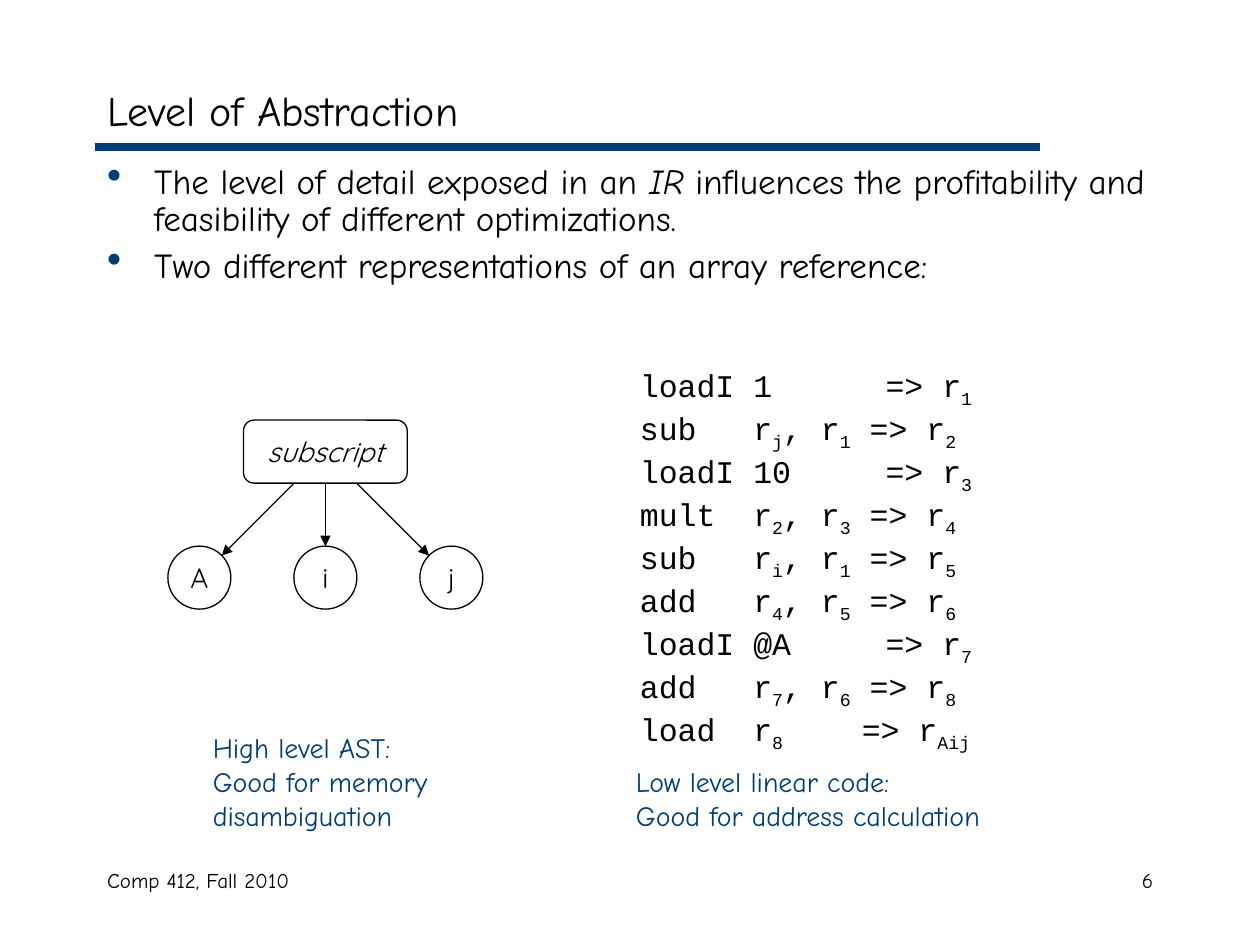
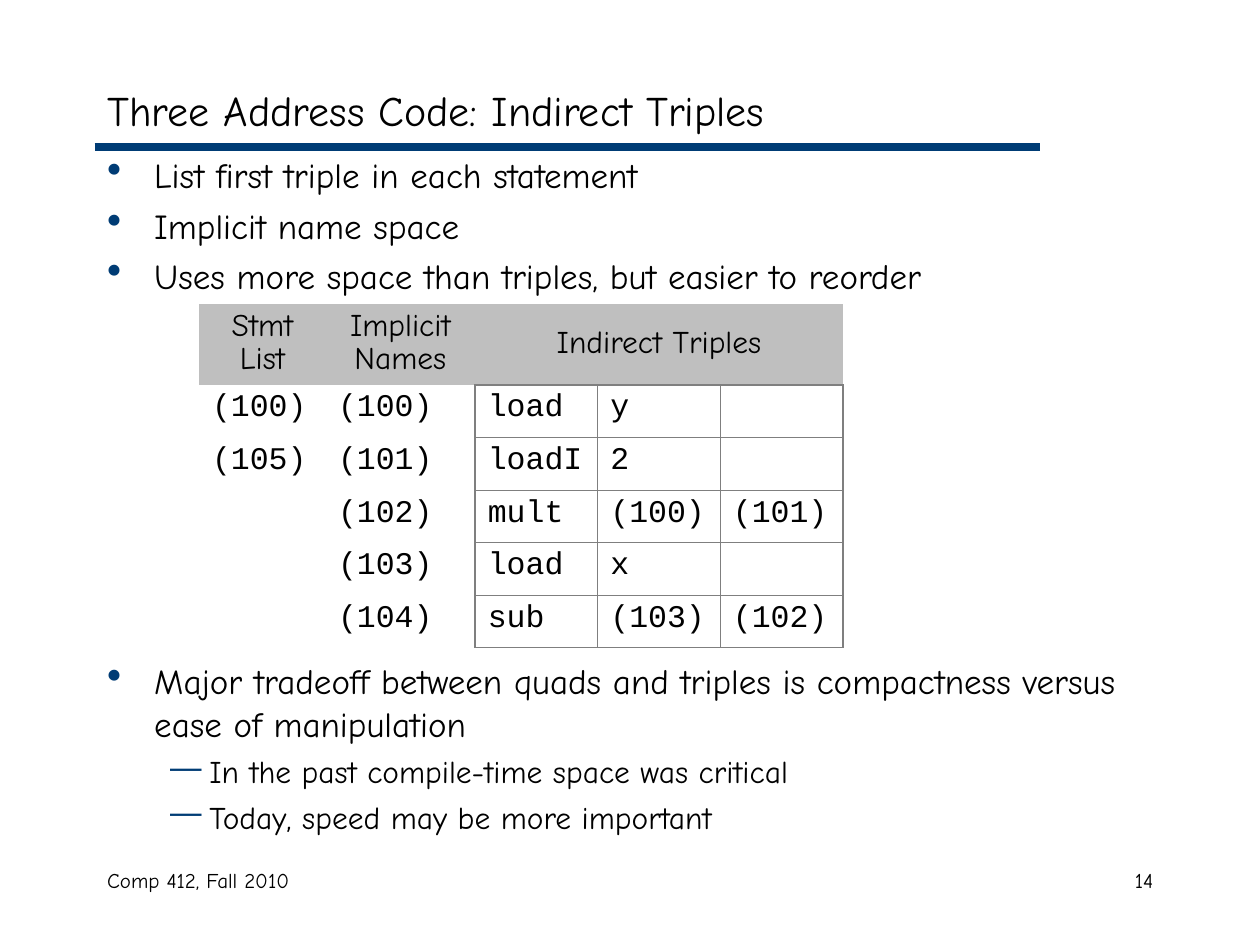
"""Build two lecture slides on intermediate representations."""
from lxml.etree import SubElement
from pptx import Presentation
from pptx.dml.color import RGBColor
from pptx.enum.shapes import MSO_CONNECTOR as Connector, MSO_SHAPE as Shape
from pptx.enum.text import MSO_ANCHOR as Anchor, MSO_AUTO_SIZE as AutoSize, PP_ALIGN as Align
from pptx.oxml.ns import qn
from pptx.util import Cm, Pt

BLACK = RGBColor(0x00, 0x00, 0x00)
WHITE = RGBColor(0xFF, 0xFF, 0xFF)
NAVY = RGBColor(0x00, 0x3C, 0x75)
SILVER = RGBColor(0xBF, 0xBF, 0xBF)
GRAY = RGBColor(0x7F, 0x7F, 0x7F)
HAND, CODE, ROUND = "Comic Neue", "Courier New", "Quicksand"
MARGIN, BODY_WIDTH = 1.91, 21.59
POINT = {"•": dict(bullet="•", bullet_size=120, left=0.95, hang=0.95, before=5, size=20),
         "—": dict(bullet="—", bullet_size=100, left=2.06, hang=0.79, before=4.5, size=18)}


def write(frame, text, size=18, font=HAND, color=BLACK, italic=False, align=Align.LEFT,
          spacing=None, before=0, bullet=None, bullet_size=100, left=0, hang=0, marked="italic"):
    """Append one paragraph per line; text between bars gets the marked style."""
    for line in text.split("\n"):
        first = not frame.text
        para = frame.paragraphs[0] if first else frame.add_paragraph()
        para.alignment = align
        para.space_before = Pt(0 if first else before)
        if spacing:
            para.line_spacing = spacing
        if bullet:
            props = para._p.get_or_add_pPr()
            props.set("marL", str(Cm(left)))
            props.set("indent", str(-Cm(hang)))
            tint = SubElement(props, qn("a:buClr"))
            SubElement(tint, qn("a:srgbClr"), val=str(NAVY))
            SubElement(props, qn("a:buSzPct"), val=str(bullet_size * 1000))
            SubElement(props, qn("a:buChar"), char=bullet)
        for index, piece in enumerate(line.split("|")):
            span = para.add_run()
            span.text = piece
            span.font.name, span.font.size = font, Pt(size)
            span.font.color.rgb = color
            span.font.italic = italic or (index % 2 == 1 and marked == "italic")
            if index % 2 and marked == "subscript":
                span._r.get_or_add_rPr().set("baseline", "-25000")


def draw_line(page, x1, y1, x2, y2, color=BLACK, width=0.75, arrow=False):
    """Draw a straight line without shadow and return it."""
    line = page.shapes.add_connector(Connector.STRAIGHT, Cm(x1), Cm(y1), Cm(x2), Cm(y2))
    line.line.color.rgb = color
    line.line.width = Pt(width)
    if arrow:
        SubElement(line.get_or_add_ln(), qn("a:tailEnd"), type="triangle")
    SubElement(line._element.spPr, qn("a:effectLst"))
    return line


deck = Presentation()
deck.slide_width, deck.slide_height = Cm(25.4), Cm(19.05)

pages = []
for heading, number in (("Level of Abstraction", "6"),
                        ("Three Address Code: Indirect Triples", "14")):
    page = deck.slides.add_slide(deck.slide_layouts[5])
    pages.append(page)
    draw_line(page, MARGIN, 2.97, 20.96, 2.97, NAVY, 4.5)
    title = page.shapes.title
    title.left, title.top, title.width, title.height = map(Cm, (MARGIN, 1.48, BODY_WIDTH, 1.48))
    title.text_frame.vertical_anchor = Anchor.MIDDLE
    title.text_frame.auto_size = AutoSize.NONE
    write(title.text_frame, heading, size=24)
    for label, x, width, align in (("Comp 412, Fall 2010", MARGIN, 8.04, Align.LEFT),
                                   (number, 18.21, 5.29, Align.RIGHT)):
        footer = page.shapes.add_textbox(Cm(x), Cm(17.36), Cm(width), Cm(1.27)).text_frame
        footer.word_wrap = True
        write(footer, label, size=12, align=align)
abstraction_page, triples_page = pages

for page, top, height, spacing, points in (
    (abstraction_page, 3.18, 3.23, 0.9, (
        ("•", "The level of detail exposed in an |IR |influences the profitability and "
              "feasibility of different optimizations."),
        ("•", "Two different representations of an array reference:"))),
    (triples_page, 2.97, 3.1, None, (
        ("•", "List first triple in each statement"),
        ("•", "Implicit name space"),
        ("•", "Uses more space than triples, but easier to reorder"))),
    (triples_page, 13.18, 4.1, None, (
        ("•", "Major tradeoff between quads and triples is compactness versus "
              "ease of manipulation"),
        ("—", "In the past compile-time space was critical"),
        ("—", "Today, speed may be more important"))),
):
    body = page.shapes.add_textbox(Cm(MARGIN), Cm(top), Cm(BODY_WIDTH), Cm(height)).text_frame
    body.word_wrap = True
    for mark, text in points:
        write(body, text, spacing=spacing, **POINT[mark])

TREE_CENTER, CHILD_TOP, CHILD_SIZE = 6.56, 11.01, 1.27
nodes = []
for label, kind, x, y, width in (
    ("subscript", Shape.ROUNDED_RECTANGLE, TREE_CENTER, 8.47, 3.3),
    ("A", Shape.OVAL, TREE_CENTER - 2.54, CHILD_TOP, CHILD_SIZE),
    ("i", Shape.OVAL, TREE_CENTER, CHILD_TOP, CHILD_SIZE),
    ("j", Shape.OVAL, TREE_CENTER + 2.54, CHILD_TOP, CHILD_SIZE),
):
    node = abstraction_page.shapes.add_shape(
        kind, Cm(x - width / 2), Cm(y), Cm(width), Cm(CHILD_SIZE))
    node.shadow.inherit = False
    node.fill.background()
    node.line.color.rgb = BLACK
    node.line.width = Pt(0.75)
    node.text_frame.word_wrap = False
    node.text_frame.vertical_anchor = Anchor.MIDDLE
    write(node.text_frame, label, size=16, font=ROUND, align=Align.CENTER,
          italic=label == "subscript")
    nodes.append(node)
root, _, middle_child, _ = nodes

for side in (-1, 1):
    draw_line(abstraction_page, TREE_CENTER + side * 0.64, 9.75,
              TREE_CENTER + side * 2.09, 11.2, arrow=True)
stem = draw_line(abstraction_page, TREE_CENTER, 9.74, TREE_CENTER, CHILD_TOP, arrow=True)
stem.begin_connect(root, 2)
stem.end_connect(middle_child, 0)

LINEAR_CODE = """loadI 1      => r|1
sub   r|j|, r|1| => r|2
loadI 10     => r|3
mult  r|2|, r|3| => r|4
sub   r|i|, r|1| => r|5
add   r|4|, r|5| => r|6
loadI @A     => r|7
add   r|7|, r|6| => r|8
load  r|8  |   => r|Aij"""
caption_style = dict(size=16, color=NAVY)
for text, place, style in (
    (LINEAR_CODE, (12.65, 7.26, 7.32, 8.05), dict(font=CODE, marked="subscript")),
    ("High level AST:\nGood for memory\ndisambiguation", (4.04, 14.61, 5.03, 2.29),
     caption_style),
    ("Low level linear code:\nGood for address calculation", (12.57, 15.29, 7.47, 1.63),
     caption_style),
):
    box = abstraction_page.shapes.add_textbox(*map(Cm, place)).text_frame
    box.word_wrap = False
    box.auto_size = AutoSize.SHAPE_TO_FIT_TEXT
    write(box, text, **style)

TRIPLES = (
    ("Stmt\nList", "Implicit Names", "Indirect Triples", "", ""),
    ("(100)", "(100)", "load", "y", ""),
    ("(105)", "(101)", "loadI", "2", ""),
    ("", "(102)", "mult", "(100)", "(101)"),
    ("", "(103)", "load", "x", ""),
    ("", "(104)", "sub", "(103)", "(102)"),
)
COLUMN_WIDTHS = (2.54, 3.02, 2.47, 2.47, 2.47)
ROW_HEIGHTS = (1.63, 1.06, 1.06, 1.06, 1.06, 1.05)
THICK, THIN = 1.08, 0.45
COLUMN_RULES = (0, 0, THICK, THIN, THIN, THICK)
ROW_RULES = (0, THICK, THIN, THIN, THIN, THIN, THICK)
table = triples_page.shapes.add_table(
    len(ROW_HEIGHTS), len(COLUMN_WIDTHS), Cm(4.02), Cm(6.13),
    Cm(sum(COLUMN_WIDTHS)), Cm(sum(ROW_HEIGHTS))).table
table.first_row = table.horz_banding = False
for column, width in zip(table.columns, COLUMN_WIDTHS):
    column.width = Cm(width)
for row, height in zip(table.rows, ROW_HEIGHTS):
    row.height = Cm(height)
table.cell(0, 2).merge(table.cell(0, 4))

for r, entries in enumerate(TRIPLES):
    for c, text in enumerate(entries):
        cell = table.cell(r, c)
        props = cell._tc.get_or_add_tcPr()
        across, down = c >= 2, r >= 1
        for edge, weight in (("lnL", down * COLUMN_RULES[c]),
                             ("lnR", down * COLUMN_RULES[c + 1]),
                             ("lnT", across * ROW_RULES[r]),
                             ("lnB", across * ROW_RULES[r + 1])):
            border = SubElement(props, qn(f"a:{edge}"), w=str(Pt(weight)))
            if weight:
                ink = SubElement(border, qn("a:solidFill"))
                SubElement(ink, qn("a:srgbClr"), val=str(GRAY))
            else:
                SubElement(border, qn("a:noFill"))
        cell.fill.solid()
        cell.fill.fore_color.rgb = WHITE if down else SILVER
        if text:
            write(cell.text_frame, text, font=CODE if down else HAND,
                  align=Align.LEFT if down else Align.CENTER,
                  spacing=1.4 if text == "Indirect Triples" else 0.9)

deck.save("out.pptx")
